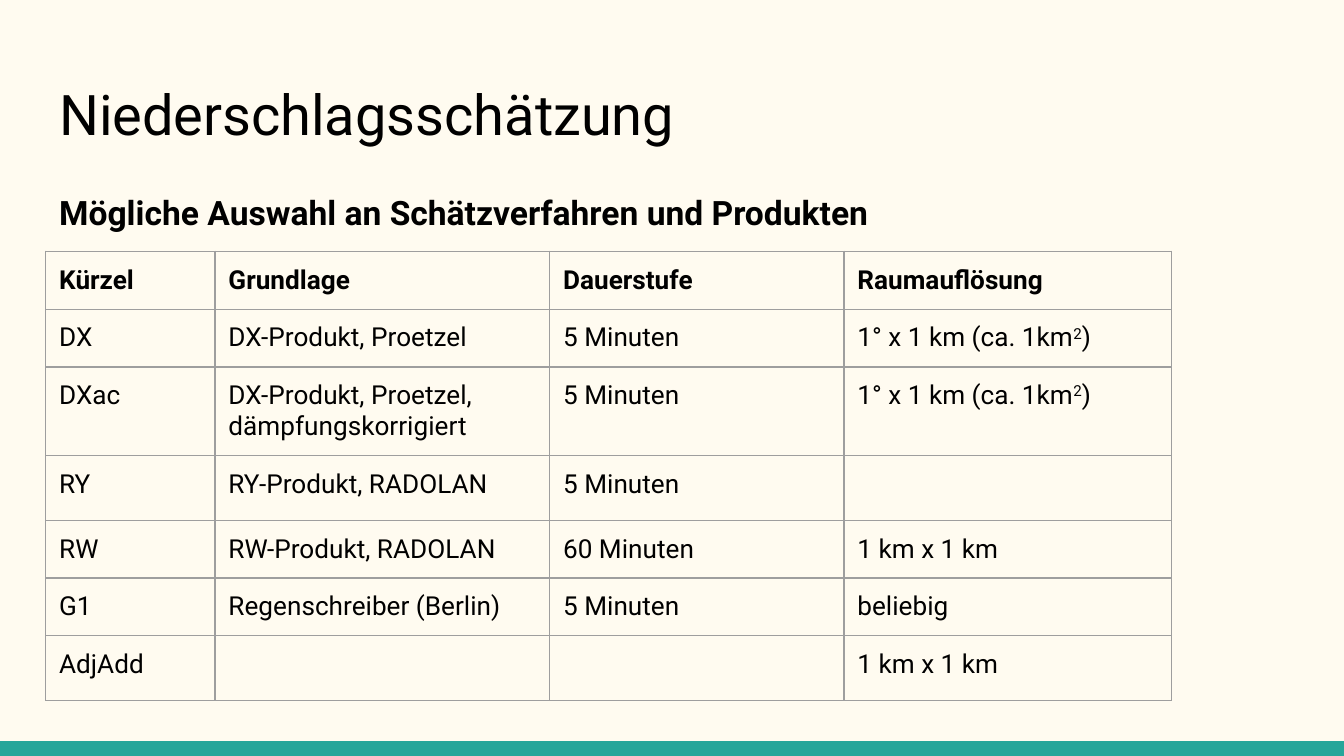
from typing import NamedTuple

from lxml.etree import SubElement
from pptx import Presentation
from pptx.dml.color import RGBColor
from pptx.enum.shapes import MSO_SHAPE
from pptx.enum.text import MSO_ANCHOR, MSO_AUTO_SIZE, PP_ALIGN
from pptx.oxml.ns import qn
from pptx.util import Inches, Pt

COLORS = {"background": "FFFBF0", "bar": "26A69A", "text": "000000", "border": "9E9E9E"}
FONT = "Roboto"
SLIDE_WIDTH = 10
SLIDE_HEIGHT = SLIDE_WIDTH * 9 / 16
BAR_HEIGHT = 0.11
MARGIN = 0.1
LEFT = 0.34
SQUARED = "²"


class Heading(NamedTuple):
    text: str
    top: float
    height: float
    size: int
    bold: bool
    line_spacing: float
    space_after: int


class Row(NamedTuple):
    height: float
    cells: tuple[str, str, str, str]


TITLE = Heading("Niederschlagsschätzung", 0.49, 0.67, 30, False, 1.0, 0)
SUBTITLE = Heading("Mögliche Auswahl an Schätzverfahren und Produkten",
                   1.28, 0.58, 18, True, 1.15, 16)

COLUMN_WIDTHS = (1.26, 2.49, 2.19, 2.44)
ROWS = (
    Row(0.43, ("Kürzel", "Grundlage", "Dauerstufe", "Raumauflösung")),
    Row(0.43, ("DX", "DX-Produkt, Proetzel", "5 Minuten", "1° x 1 km (ca. 1km²)")),
    Row(0.66, ("DXac", "DX-Produkt, Proetzel,\ndämpfungskorrigiert", "5 Minuten",
               "1° x 1 km (ca. 1km²)")),
    Row(0.48, ("RY", "RY-Produkt, RADOLAN", "5 Minuten", "")),
    Row(0.43, ("RW", "RW-Produkt, RADOLAN", "60 Minuten", "1 km x 1 km")),
    Row(0.43, ("G1", "Regenschreiber (Berlin)", "5 Minuten", "beliebig")),
    Row(0.48, ("AdjAdd", "", "", "1 km x 1 km")),
)


def color(name: str) -> RGBColor:
    return RGBColor.from_string(COLORS[name])


def format_run(run, size: int, bold: bool) -> None:
    run.font.name = FONT
    run.font.size = Pt(size)
    run.font.bold = bold
    run.font.color.rgb = color("text")


def set_margins(target) -> None:
    target.margin_left = target.margin_right = Inches(MARGIN)
    target.margin_top = target.margin_bottom = Inches(MARGIN)


def fill_placeholder(shape, heading: Heading) -> None:
    shape.left, shape.top = Inches(LEFT), Inches(heading.top)
    shape.width, shape.height = Inches(9.32), Inches(heading.height)
    text_frame = shape.text_frame
    text_frame.text = heading.text
    text_frame.word_wrap = True
    text_frame.auto_size = MSO_AUTO_SIZE.NONE
    text_frame.vertical_anchor = MSO_ANCHOR.TOP
    set_margins(text_frame)
    paragraph = text_frame.paragraphs[0]
    paragraph.alignment = PP_ALIGN.LEFT
    paragraph.line_spacing = heading.line_spacing
    paragraph.space_before = Pt(0)
    paragraph.space_after = Pt(heading.space_after)
    # No bullet and no hanging indent
    properties = paragraph._p.get_or_add_pPr()
    properties.set("marL", "0")
    properties.set("indent", "0")
    SubElement(properties, qn("a:buNone"))
    format_run(paragraph.runs[0], heading.size, heading.bold)


def add_borders(cell) -> None:
    properties = cell._tc.get_or_add_tcPr()
    for side in ("lnL", "lnR", "lnT", "lnB"):
        line = SubElement(properties, qn(f"a:{side}"), w=str(Pt(0.75)))
        fill = SubElement(line, qn("a:solidFill"))
        SubElement(fill, qn("a:srgbClr"), val=COLORS["border"])


def fill_cell(cell, text: str, bold: bool) -> None:
    add_borders(cell)
    cell.fill.background()
    set_margins(cell)
    cell.vertical_anchor = MSO_ANCHOR.TOP
    if not text:
        SubElement(cell.text_frame.paragraphs[0]._p, qn("a:endParaRPr"), sz="1400")
        return
    cell.text_frame.text = text
    for paragraph in cell.text_frame.paragraphs:
        before, squared, after = paragraph.text.partition(SQUARED)
        paragraph.text = before
        if squared:
            exponent = paragraph.add_run()
            exponent.text = "2"
            exponent._r.get_or_add_rPr().set("baseline", "30000")
            paragraph.add_run().text = after
        for run in paragraph.runs:
            format_run(run, 14, bold)


def add_product_table(slide) -> None:
    frame = slide.shapes.add_table(
        len(ROWS), len(COLUMN_WIDTHS), Inches(LEFT), Inches(1.87),
        Inches(sum(COLUMN_WIDTHS)), Inches(sum(row.height for row in ROWS)))
    table = frame.table
    table.first_row = table.horz_banding = False
    for column, width in zip(table.columns, COLUMN_WIDTHS):
        column.width = Inches(width)
    for index, row in enumerate(ROWS):
        table.rows[index].height = Inches(row.height)
        for cell, text in zip(table.rows[index].cells, row.cells):
            fill_cell(cell, text, bold=index == 0)


def add_bottom_bar(slide) -> None:
    bar = slide.shapes.add_shape(
        MSO_SHAPE.RECTANGLE, Inches(0), Inches(SLIDE_HEIGHT - BAR_HEIGHT),
        Inches(SLIDE_WIDTH), Inches(BAR_HEIGHT))
    bar.shadow.inherit = False
    bar.fill.solid()
    bar.fill.fore_color.rgb = color("bar")
    bar.line.fill.background()


def main() -> None:
    presentation = Presentation()
    presentation.slide_width = Inches(SLIDE_WIDTH)
    presentation.slide_height = Inches(SLIDE_HEIGHT)
    slide = presentation.slides.add_slide(presentation.slide_layouts[1])
    slide.background.fill.solid()
    slide.background.fill.fore_color.rgb = color("background")

    # Bottom bar
    add_bottom_bar(slide)

    # Headings
    fill_placeholder(slide.shapes.title, TITLE)
    fill_placeholder(slide.placeholders[1], SUBTITLE)

    # Products
    add_product_table(slide)
    presentation.save("out.pptx")


if __name__ == "__main__":
    main()
